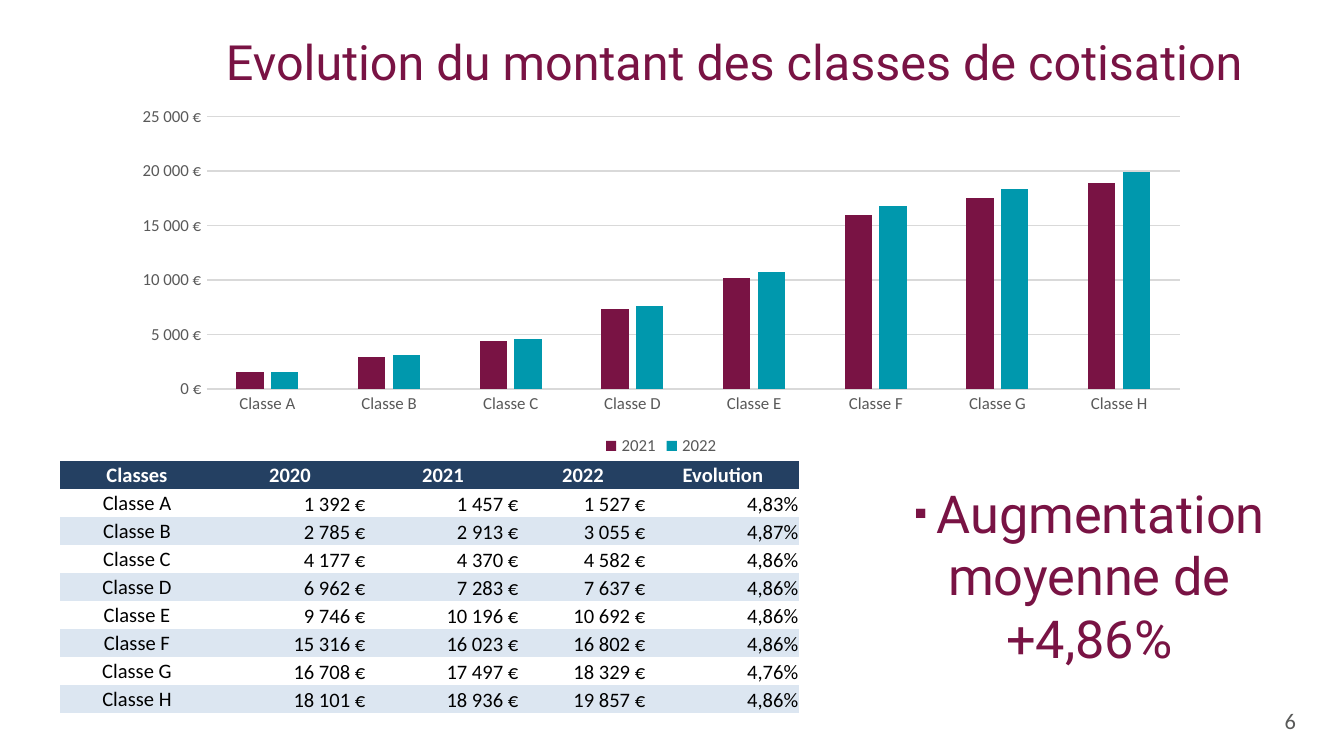
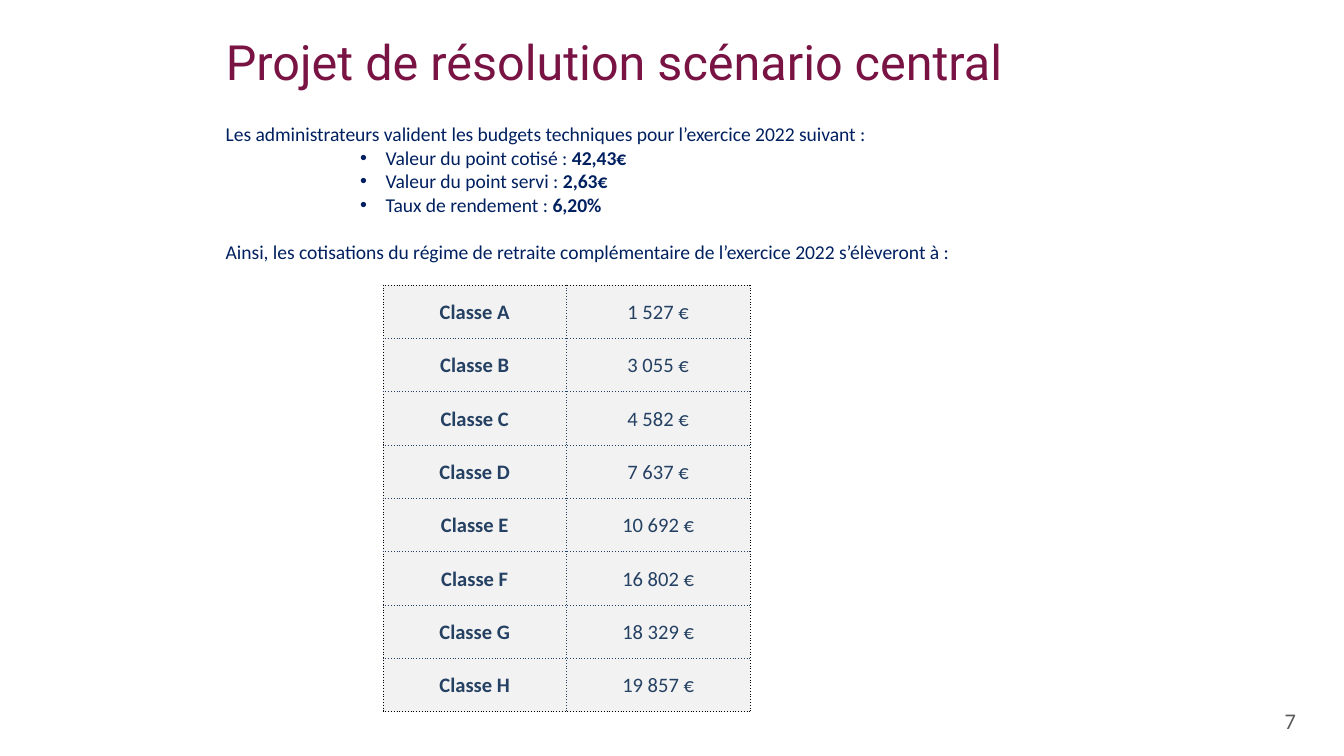
"""Build two slides on contribution classes: yearly evolution and the central scenario."""
from dataclasses import dataclass

from lxml.etree import SubElement
from pptx import Presentation
from pptx.chart.data import CategoryChartData
from pptx.dml.color import RGBColor as RGB
from pptx.enum.chart import XL_CHART_TYPE, XL_LEGEND_POSITION, XL_TICK_MARK as TICK
from pptx.enum.text import MSO_ANCHOR as ANCHOR, MSO_AUTO_SIZE, PP_ALIGN as ALIGN
from pptx.oxml import parse_xml
from pptx.oxml.ns import nsdecls, qn
from pptx.util import Pt


@dataclass(frozen=True)
class Theme:
    plum: str = "791344"
    teal: str = "0098AD"
    navy: str = "244062"
    ink: str = "002060"
    black: str = "000000"
    white: str = "FFFFFF"
    band: str = "DCE6F1"
    pale: str = "F2F2F2"
    grid: str = "D9D9D9"
    axis: str = "595959"
    number: str = "595A59"
    heading: str = "Roboto"
    text: str = "Calibri"
    title_pt: float = 26
    key_pt: float = 28
    key_bullet_pt: float = 20
    number_pt: float = 12
    table_pt: float = 11
    body_pt: float = 10.5
    chart_pt: float = 9


T = Theme()


def style(p, size, color, font=T.text, align=ALIGN.LEFT, bullet=None, left=0, hang=0):
    """Format a paragraph's runs and, if asked, its bullet and indents."""
    p.alignment = align
    for r in p.runs:
        r.font.size, r.font.name = Pt(size), font
        r.font.color.rgb = RGB.from_string(color)
    if bullet:
        pPr = p._p.get_or_add_pPr()
        pPr.set("marL", str(Pt(left)))
        pPr.set("indent", str(Pt(hang)))
        SubElement(SubElement(pPr, qn("a:buClr")), qn("a:srgbClr"), val=color)
        SubElement(pPr, qn("a:buFont"), typeface="Arial")
        SubElement(pPr, qn("a:buChar"), char=bullet)


def add_grid(s, rows, left, top, widths, height):
    """Add an unstyled table and return it filled with text."""
    tbl = s.shapes.add_table(len(rows), len(widths), Pt(left), Pt(top),
                             Pt(sum(widths)), Pt(height * len(rows))).table
    tbl.first_row = tbl.horz_banding = False
    tbl._tbl.tblPr.find(qn("a:tableStyleId")).text = "{2D5ABB26-0587-4C30-8999-92F81FD0307C}"
    for col, width in zip(tbl.columns, widths):
        col.width = Pt(width)
    for row, values in zip(tbl.rows, rows):
        row.height = Pt(height)
        for cell, value in zip(row.cells, values):
            cell.text_frame.text = value
            cell.vertical_anchor = ANCHOR.MIDDLE
            cell.margin_left = cell.margin_right = cell.margin_top = Pt(0.6)
            cell.margin_bottom = 0
    return tbl


classes = [f"Classe {letter}" for letter in "ABCDEFGH"]
amounts = {
    "2020": [1392, 2785, 4177, 6962, 9746, 15316, 16708, 18101],
    "2021": [1457, 2913, 4370, 7283, 10196, 16023, 17497, 18936],
    "2022": [1527, 3055, 4582, 7637, 10692, 16802, 18329, 19857],
}
growth = ["4,83%", "4,87%", "4,86%", "4,86%", "4,86%", "4,86%", "4,76%", "4,86%"]
euros = {year: [f"{v:,} €".replace(",", " ") for v in vals] for year, vals in amounts.items()}

prs = Presentation()
prs.slide_width, prs.slide_height = Pt(720), Pt(405)
slides = []
for number, layout, title in (
    (6, 1, "Evolution du montant des classes de cotisation"),
    (7, 5, "Projet de résolution scénario central"),
):
    s = prs.slides.add_slide(prs.slide_layouts[layout])
    slides.append(s)
    sp = s.shapes.title
    sp.left, sp.top, sp.width, sp.height = Pt(113.8), Pt(10.1), Pt(594.7), Pt(45.4)
    tf = sp.text_frame
    tf.text = title
    tf.auto_size, tf.vertical_anchor = MSO_AUTO_SIZE.NONE, ANCHOR.MIDDLE
    style(tf.paragraphs[0], T.title_pt, T.plum, T.heading)

    tf = s.shapes.add_textbox(Pt(533.5), Pt(375.1), Pt(167.8), Pt(21.6)).text_frame
    tf.text = str(number)
    tf.word_wrap, tf.vertical_anchor = True, ANCHOR.MIDDLE
    style(tf.paragraphs[0], T.number_pt, T.number, align=ALIGN.RIGHT)

evolution, resolution = slides

sp = evolution.placeholders[1]
sp.left, sp.top, sp.width, sp.height = Pt(436.3), Pt(257), Pt(272.2), Pt(105.1)
tf = sp.text_frame
tf.auto_size, tf.vertical_anchor = MSO_AUTO_SIZE.NONE, ANCHOR.BOTTOM
p = tf.paragraphs[0]
for text in (" ", "Augmentation moyenne de +4,86%"):
    p.add_run().text = text
style(p, T.key_pt, T.plum, T.heading, ALIGN.CENTER, "▪", 22.3)
p.runs[0].font.size = Pt(T.key_bullet_pt)

data = CategoryChartData(number_format='#\\ ##0\\ "€"')
data.categories = classes
for year in ("2021", "2022"):
    data.add_series(year, [round(v, -2) for v in amounts[year]])
chart = evolution.shapes.add_chart(XL_CHART_TYPE.COLUMN_CLUSTERED, Pt(64.8), Pt(53.3),
                                   Pt(578.9), Pt(193.7), data).chart
chart.has_title = False
chart.has_legend = True
chart.legend.position = XL_LEGEND_POSITION.BOTTOM
chart.legend.include_in_layout = False
cat, val = chart.category_axis, chart.value_axis
for font in (chart.font, chart.legend.font, cat.tick_labels.font, val.tick_labels.font):
    font.size, font.name = Pt(T.chart_pt), T.text
    font.color.rgb = RGB.from_string(T.axis)
for axis in (cat, val):
    axis.major_tick_mark = axis.minor_tick_mark = TICK.NONE
val.has_major_gridlines = True
for line in (cat.format.line, val.major_gridlines.format.line):
    line.width = Pt(0.75)
    line.color.rgb = RGB.from_string(T.grid)
val.format.line.fill.background()
val.minimum_scale, val.maximum_scale, val.major_unit = 0, 25000, 5000
val.tick_labels.number_format = '#\\ ##0\\ "€"'
val.tick_labels.number_format_is_linked = False
plot = chart.plots[0]
plot.gap_width, plot.overlap, plot.vary_by_categories = 219, -27, False
for series, color in zip(plot.series, (T.plum, T.teal)):
    series.format.fill.solid()
    series.format.fill.fore_color.rgb = RGB.from_string(color)

rows = [["Classes", *euros, "Evolution"], *zip(classes, *euros.values(), growth)]
tbl = add_grid(evolution, rows, 32.4, 247, [82, 82, 82, 68, 82], 15)
for i, row in enumerate(tbl.rows):
    for j, cell in enumerate(row.cells):
        fill = T.navy if i == 0 else (T.band, T.white)[i % 2]
        cell.fill.solid()
        cell.fill.fore_color.rgb = RGB.from_string(fill)
        amount = i > 0 and j > 0
        p = cell.text_frame.paragraphs[0]
        style(p, T.table_pt, T.black if i else T.white,
              align=ALIGN.RIGHT if amount else ALIGN.CENTER)
        p.runs[0].font.bold = i == 0
        if amount:
            cell.vertical_anchor = ANCHOR.BOTTOM

sp = resolution.shapes.add_textbox(Pt(113.8), Pt(61.9), Pt(442.8), Pt(96.5))
sp.fill.solid()
sp.fill.fore_color.rgb = RGB.from_string(T.white)
tf = sp.text_frame
tf.word_wrap = True
p = tf.paragraphs[0]
p.text = "Les administrateurs valident les budgets techniques pour l’exercice 2022 suivant :"
style(p, T.body_pt, T.ink)
for label, value in (
    ("Valeur du point cotisé : ", "42,43€"),
    ("Valeur du point servi : ", "2,63€"),
    ("Taux de rendement : ", "6,20%"),
):
    p = tf.add_paragraph()
    p.level = 2
    p.add_run().text = label
    r = p.add_run()
    r.text, r.font.bold = value, True
    style(p, T.body_pt, T.ink, bullet="•", left=85.7, hang=-13.7)
p = tf.add_paragraph()
p.text = ("Ainsi, les cotisations du régime de retraite complémentaire "
          "de l’exercice 2022 s’élèveront à :")
p.space_before = Pt(12.8)
style(p, T.body_pt, T.ink)

rows = list(zip(classes, euros["2022"]))
tbl = add_grid(resolution, rows, 205.2, 152.8, [98.3, 98.3], 28.6)
for i, row in enumerate(tbl.rows):
    for j, cell in enumerate(row.cells):
        outer = {"L": j == 0, "R": j == 1, "T": i == 0, "B": i == len(rows) - 1}
        for side, edge in outer.items():
            cell._tc.get_or_add_tcPr().append(parse_xml(
                f'<a:ln{side} {nsdecls("a")} w="{Pt(0.5)}"><a:solidFill>'
                f'<a:srgbClr val="{T.black if edge else T.navy}"/></a:solidFill>'
                f'<a:prstDash val="sysDot"/></a:ln{side}>'))
        cell.fill.solid()
        cell.fill.fore_color.rgb = RGB.from_string(T.pale)
        p = cell.text_frame.paragraphs[0]
        style(p, T.table_pt, T.navy, align=ALIGN.CENTER)
        p.runs[0].font.bold = j == 0

prs.save("out.pptx")
